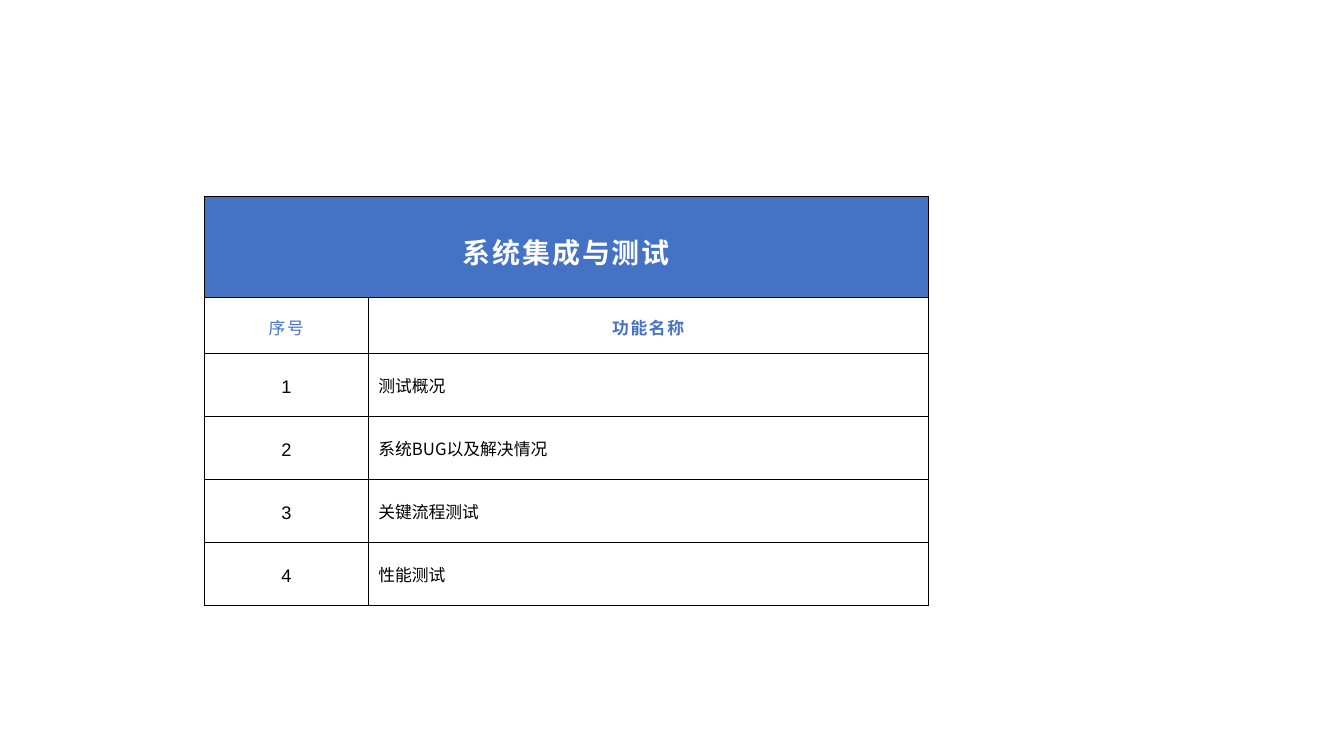
import pptx
import pptx.dml.color
import pptx.enum.text
import pptx.oxml
import pptx.oxml.ns
import pptx.util
from lxml import etree

HEADING = "系统集成与测试"
COLUMN_NAMES = ("序号", "功能名称")
FUNCTIONS = ["测试概况", "系统BUG以及解决情况", "关键流程测试", "性能测试"]

BLUE, WHITE, BLACK = "4472C4", "FFFFFF", "000000"
LATIN, CHINESE = "Arial", "Noto Sans CJK SC"
LEFT, TOP = 5.15, 4.95
COLUMN_WIDTHS = (4.13, 14.11)
HEADING_HEIGHT, NAMES_HEIGHT, ITEM_HEIGHT = 2.54, 1.41, 1.59

Cm = pptx.util.Cm
CENTER = pptx.enum.text.PP_ALIGN.CENTER


def color(value):
    return pptx.dml.color.RGBColor.from_string(value)


def add_borders(cell):
    properties = cell._tc.get_or_add_tcPr()
    for side in ("lnL", "lnR", "lnT", "lnB"):
        line = etree.SubElement(
            properties, pptx.oxml.ns.qn(f"a:{side}"), w=str(pptx.util.Pt(1)))
        fill = etree.SubElement(line, pptx.oxml.ns.qn("a:solidFill"))
        etree.SubElement(fill, pptx.oxml.ns.qn("a:srgbClr"), val=BLACK)


def write(cell, text, size=12, ink=BLACK, bold=False, font=LATIN,
          align=CENTER, line_spacing=1.2, tracking=1.2):
    cell.vertical_anchor = pptx.enum.text.MSO_ANCHOR.MIDDLE
    para = cell.text_frame.paragraphs[0]
    para.alignment = align
    para.line_spacing = line_spacing
    span = para.add_run()
    span.text = text
    span.font.size = pptx.util.Pt(size)
    span.font.bold = bold
    span.font.color.rgb = color(ink)
    span.font.name = font
    properties = span.font._element
    properties.set("spc", str(round(tracking * 100)))
    etree.SubElement(properties, pptx.oxml.ns.qn("a:ea"), typeface=CHINESE)


def main():
    deck = pptx.Presentation()
    deck.slide_width, deck.slide_height = Cm(33.87), Cm(19.05)
    page = deck.slides.add_slide(deck.slide_layouts[6])

    heights = [HEADING_HEIGHT, NAMES_HEIGHT] + [ITEM_HEIGHT] * len(FUNCTIONS)
    table = page.shapes.add_table(
        len(heights), len(COLUMN_WIDTHS), Cm(LEFT), Cm(TOP),
        Cm(sum(COLUMN_WIDTHS)), Cm(sum(heights))).table
    for column, width in zip(table.columns, COLUMN_WIDTHS):
        column.width = Cm(width)
    for index, height in enumerate(heights):
        table.rows[index].height = Cm(height)
        for cell in table.rows[index].cells:
            add_borders(cell)
            cell.fill.solid()
            cell.fill.fore_color.rgb = color(WHITE if index else BLUE)

    table.cell(0, 0).merge(table.cell(0, 1))
    write(table.cell(0, 0), HEADING, size=20, ink=WHITE, bold=True,
          tracking=1.3)
    for index, name in enumerate(COLUMN_NAMES):
        write(table.cell(1, index), name, ink=BLUE, bold=index == 1)
    for number, function in enumerate(FUNCTIONS, start=1):
        write(table.cell(number + 1, 0), str(number), size=13)
        write(table.cell(number + 1, 1), function, font=CHINESE,
              align=pptx.enum.text.PP_ALIGN.LEFT, line_spacing=1.0,
              tracking=0)

    deck.save("out.pptx")


if __name__ == "__main__":
    main()
